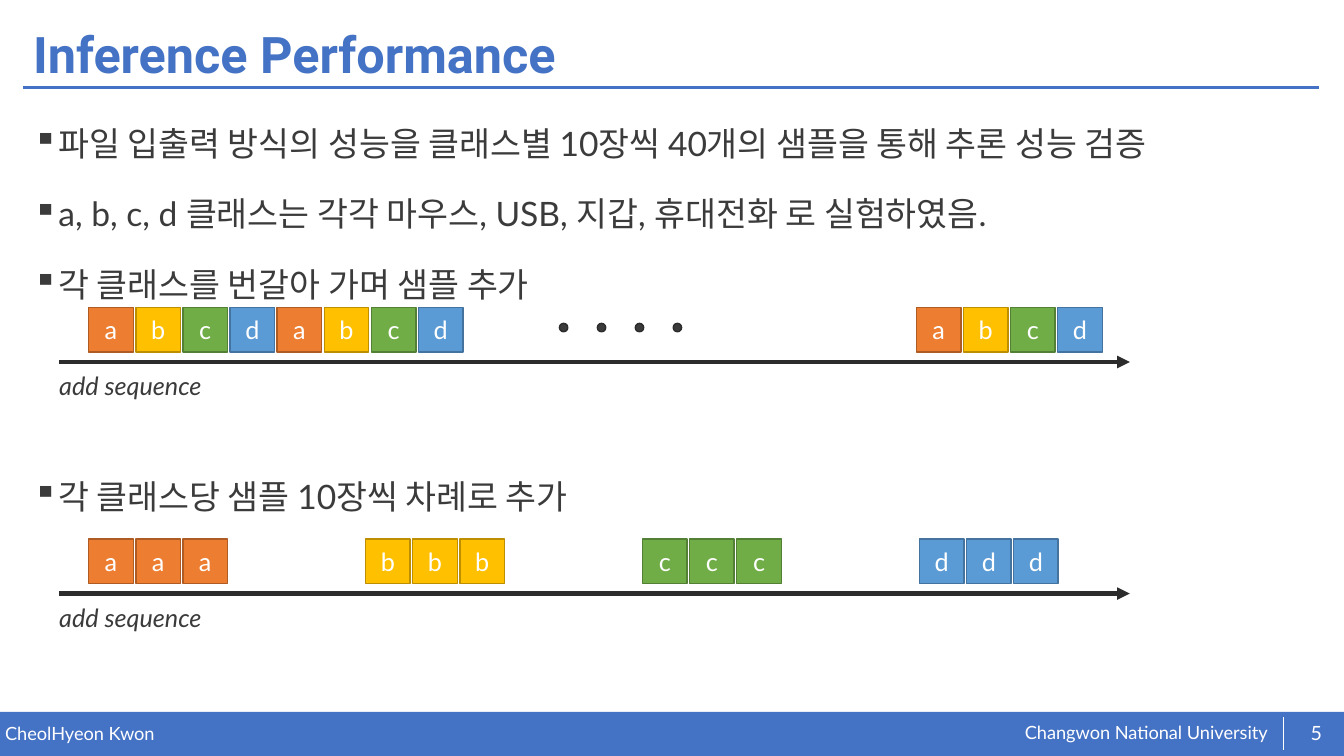
import pptx
import pptx.util
import pptx.dml.color
import pptx.enum.shapes
import pptx.enum.text
import pptx.oxml
import pptx.oxml.ns

Pt = pptx.util.Pt
RGBColor = pptx.dml.color.RGBColor
SHAPE = pptx.enum.shapes.MSO_SHAPE
ANCHOR = pptx.enum.text.MSO_ANCHOR
ALIGN = pptx.enum.text.PP_ALIGN

BLUE = RGBColor(0x44, 0x72, 0xC4)
WHITE = RGBColor(0xFF, 0xFF, 0xFF)
GREY = RGBColor(0x3B, 0x3B, 0x3B)
DARK = RGBColor(0x2C, 0x2C, 0x2C)
ORANGE = RGBColor(0xED, 0x7D, 0x31)
RUST = RGBColor(0xAF, 0x5C, 0x24)
YELLOW = RGBColor(0xFF, 0xC0, 0x00)
GOLD = RGBColor(0xBD, 0x8E, 0x00)
GREEN = RGBColor(0x70, 0xAD, 0x47)
MOSS = RGBColor(0x53, 0x80, 0x35)
SKY = RGBColor(0x5B, 0x9B, 0xD5)
STEEL = RGBColor(0x43, 0x73, 0x9E)

CLASSES = {
    "a": (ORANGE, RUST),
    "b": (YELLOW, GOLD),
    "c": (GREEN, MOSS),
    "d": (SKY, STEEL),
}
POINTS = [
    ("파일 입출력 방식의 성능을 클래스별 10장씩 40개의 샘플을 통해 추론 성능 검증", 0),
    ("a, b, c, d 클래스는 각각 마우스, USB, 지갑, 휴대전화 로 실험하였음.", 10),
    ("각 클래스를 번갈아 가며 샘플 추가", 10),
    ("각 클래스당 샘플 10장씩 차례로 추가", 111),
]
LEFT = 63.4
SIDE = 31.8
STEP = 33.65
GROUP = 197.8


def add_xml(parent, tag, **attrs):
    node = pptx.oxml.parse_xml(f"<a:{tag} {pptx.oxml.ns.nsdecls('a')}/>")
    for key, value in attrs.items():
        node.set(key, value)
    parent.append(node)


def write(para, text, size=18, color=WHITE, font="Lato", bold=False,
          italic=False, align=ALIGN.LEFT, lines=None, before=0):
    para.alignment = align
    para.space_before = Pt(before)
    if lines:
        para.line_spacing = lines
    run = para.add_run()
    run.text = text
    run.font.name = font
    run.font.size = Pt(size)
    run.font.bold = bold
    run.font.italic = italic
    run.font.color.rgb = color


def add_box(slide, x, y, w, h, inset=True, anchor=ANCHOR.TOP):
    box = slide.shapes.add_textbox(Pt(x), Pt(y), Pt(w), Pt(h))
    frame = box.text_frame
    frame.word_wrap = True
    frame.vertical_anchor = anchor
    if not inset:
        frame.margin_left = frame.margin_right = 0
        frame.margin_top = frame.margin_bottom = 0
    return frame


def add_shape(slide, kind, x, y, w, h, fill, edge=None):
    shape = slide.shapes.add_shape(kind, Pt(x), Pt(y), Pt(w), Pt(h))
    shape.shadow.inherit = False
    shape.fill.solid()
    shape.fill.fore_color.rgb = fill
    if edge is None:
        shape.line.fill.background()
    else:
        shape.line.color.rgb = edge
        shape.line.width = Pt(1)
    return shape


def add_line(slide, x1, y1, x2, y2, color, width, arrow=False):
    line = slide.shapes.add_connector(
        pptx.enum.shapes.MSO_CONNECTOR.STRAIGHT, Pt(x1), Pt(y1), Pt(x2), Pt(y2))
    line.line.color.rgb = color
    line.line.width = Pt(width)
    if arrow:
        add_xml(line.line._get_or_add_ln(), "tailEnd", type="triangle")
    add_xml(line._element.spPr, "effectLst")


def add_tiles(slide, names, x, y):
    for i, name in enumerate(names):
        tile = add_shape(slide, SHAPE.RECTANGLE, x + i * STEP, y, SIDE, SIDE,
                         *CLASSES[name])
        tile.text_frame.vertical_anchor = ANCHOR.MIDDLE
        write(tile.text_frame.paragraphs[0], name, align=ALIGN.CENTER)


def add_track(slide, y, groups):
    for x, names in groups:
        add_tiles(slide, names, x, y)
    add_line(slide, 42, y + 39, 807, y + 39, DARK, 3, arrow=True)
    label = add_box(slide, 35.2, y + 41.6, 119, 29)
    write(label.paragraphs[0], "add sequence", color=GREY, italic=True)


def add_points(slide):
    frame = add_box(slide, 16.6, 72.7, 926, 405)
    for i, (text, before) in enumerate(POINTS):
        para = frame.add_paragraph() if i else frame.paragraphs[0]
        props = para._p.get_or_add_pPr()
        props.set("marL", str(Pt(18)))
        props.set("indent", str(Pt(-18)))
        add_xml(props, "buChar", char="▪")
        write(para, text, size=24, color=GREY, lines=1.4, before=before)


def add_frame(slide):
    add_shape(slide, SHAPE.RECTANGLE, 0, 508.5, 960, 31.5, BLUE)
    school = add_box(slide, 732, 515.4, 192.5, 16.6, inset=False)
    write(school.paragraphs[0], "Changwon National University", size=13)
    author = add_box(slide, 3.6, 516, 472, 16, inset=False)
    write(author.paragraphs[0], "CheolHyeon Kwon", size=13)
    add_line(slide, 16.6, 62.5, 942, 62.5, BLUE, 2)
    add_line(slide, 916.6, 512, 916.6, 535.5, WHITE, 0.5)
    title = add_box(slide, 16.6, 13, 926, 55.4, anchor=ANCHOR.MIDDLE)
    write(title.paragraphs[0], "Inference Performance", size=36, color=BLUE,
          font="Roboto", bold=True, lines=0.9)
    number = add_box(slide, 923, 509, 34.6, 29, inset=False, anchor=ANCHOR.MIDDLE)
    write(number.paragraphs[0], "5", size=14, align=ALIGN.CENTER)


def main():
    deck = pptx.Presentation()
    deck.slide_width = Pt(960)
    deck.slide_height = Pt(540)
    slide = deck.slides.add_slide(deck.slide_layouts[6])
    add_frame(slide)
    add_points(slide)
    add_track(slide, 219.6, [(LEFT, "abcdabcd"), (654.6, "abcd")])
    for i in range(4):
        add_shape(slide, SHAPE.OVAL, 399.6 + i * 27.1, 231, 6, 6, GREY, DARK)
    add_track(slide, 385, [(LEFT + i * GROUP, name * 3)
                           for i, name in enumerate(CLASSES)])
    deck.save("out.pptx")


if __name__ == "__main__":
    main()
